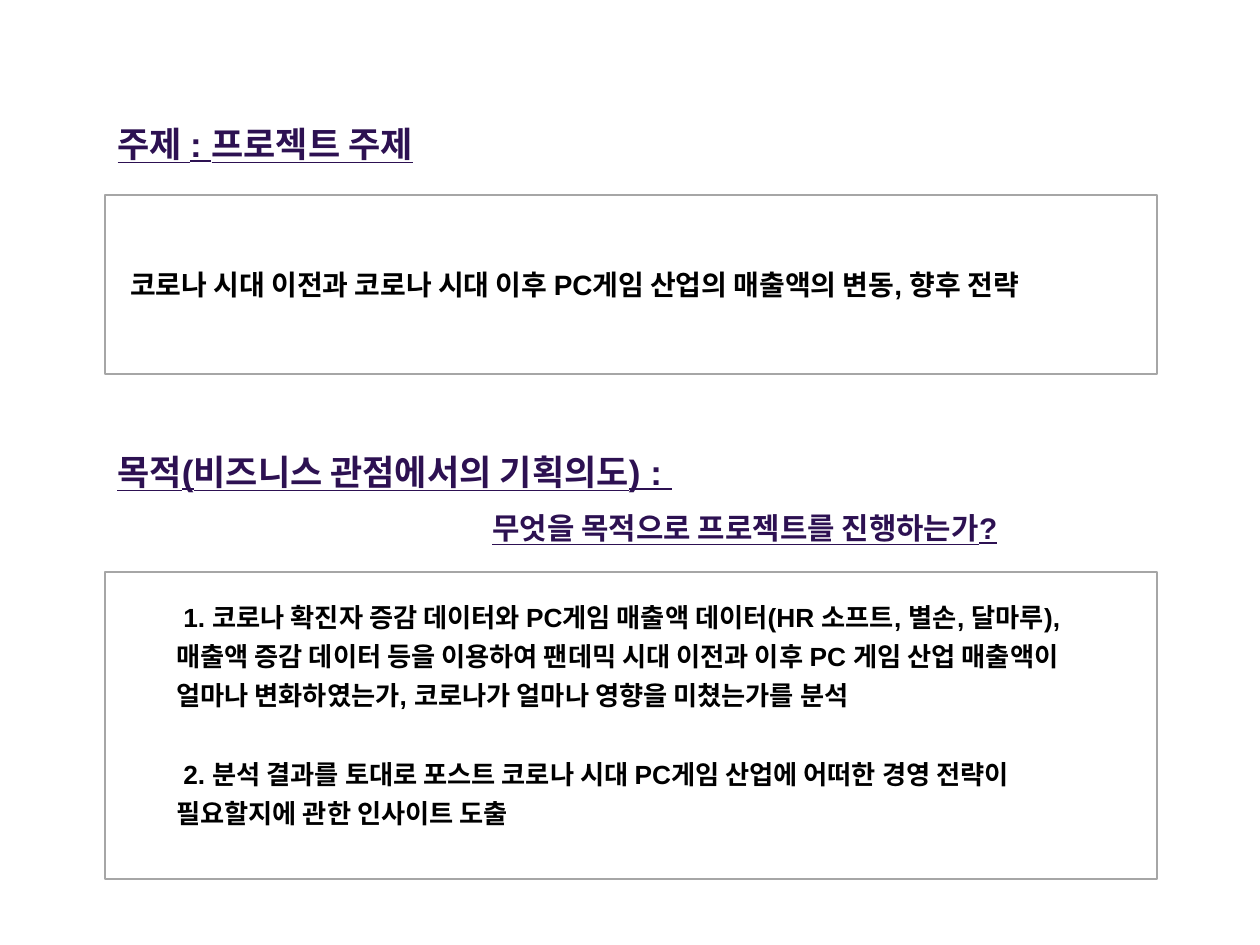
import dataclasses
import typing

import pptx
import pptx.dml.color
import pptx.enum.shapes
import pptx.enum.text
import pptx.util

SCALE = 914400 / 126


def pixels(length: int) -> pptx.util.Emu:
    return pptx.util.Emu(round(length * SCALE))


def color(code: str) -> pptx.dml.color.RGBColor:
    return pptx.dml.color.RGBColor.from_string(code)


@dataclasses.dataclass(frozen=True)
class Theme:
    font: str = "Arial"
    heading_color: str = "2D1152"
    body_color: str = "000000"
    frame_color: str = "A6A6A6"
    frame_width: float = 1.5
    heading_size: int = 20
    question_size: int = 17
    topic_size: int = 16
    purpose_size: int = 15


THEME = Theme()


class Area(typing.NamedTuple):
    left: int
    top: int
    width: int
    height: int

    def lengths(self) -> list[pptx.util.Emu]:
        return [pixels(length) for length in self]


@dataclasses.dataclass(frozen=True)
class Paragraph:
    text: str
    size: int
    heading: bool = False
    line_spacing: float = 1.0
    space_before: float = 0
    margin: int = 0
    indent: int = 0


@dataclasses.dataclass(frozen=True)
class TextBlock:
    area: Area
    paragraphs: list[Paragraph]


TITLE = TextBlock(
    Area(105, 116, 374, 55),
    [Paragraph("주제 : 프로젝트 주제", THEME.heading_size, heading=True)],
)

FRAMES = [Area(105, 195, 1052, 179), Area(105, 572, 1052, 307)]

BLOCKS = [
    TextBlock(
        Area(105, 423, 1052, 131),
        [
            Paragraph("목적(비즈니스 관점에서의 기획의도) : ", THEME.heading_size,
                      heading=True, line_spacing=1.5),
            Paragraph("무엇을 목적으로 프로젝트를 진행하는가?", THEME.question_size,
                      heading=True, line_spacing=1.5, margin=375),
        ],
    ),
    TextBlock(
        Area(118, 261, 1022, 46),
        [Paragraph("코로나 시대 이전과 코로나 시대 이후 PC게임 산업의 매출액의 변동, 향후 전략",
                   THEME.topic_size)],
    ),
    TextBlock(
        Area(164, 587, 932, 287),
        [
            Paragraph(
                "1. 코로나 확진자 증감 데이터와 PC게임 매출액 데이터(HR 소프트, 별손, 달마루), "
                "매출액 증감 데이터 등을 이용하여 팬데믹 시대 이전과 이후 PC 게임 산업 매출액이 "
                "얼마나 변화하였는가, 코로나가 얼마나 영향을 미쳤는가를 분석",
                THEME.purpose_size, line_spacing=1.25, indent=7),
            Paragraph(
                "2. 분석 결과를 토대로 포스트 코로나 시대 PC게임 산업에 어떠한 경영 전략이 "
                "필요할지에 관한 인사이트 도출",
                THEME.purpose_size, line_spacing=1.25, space_before=22.5, indent=7),
        ],
    ),
]


def write_block(box, block: TextBlock) -> None:
    box.left, box.top, box.width, box.height = block.area.lengths()
    frame = box.text_frame
    frame.word_wrap = True
    frame.auto_size = pptx.enum.text.MSO_AUTO_SIZE.SHAPE_TO_FIT_TEXT
    frame.vertical_anchor = pptx.enum.text.MSO_ANCHOR.TOP
    for index, item in enumerate(block.paragraphs):
        para = frame.add_paragraph() if index else frame.paragraphs[0]
        para.text = item.text
        para.alignment = pptx.enum.text.PP_ALIGN.LEFT
        para.line_spacing = item.line_spacing
        para.space_before = pptx.util.Pt(item.space_before)
        properties = para._p.get_or_add_pPr()
        properties.set("marL", str(pixels(item.margin)))
        properties.set("indent", str(pixels(item.indent)))
        font = para.font
        font.name = THEME.font
        font.size = pptx.util.Pt(item.size)
        font.bold = True
        font.underline = item.heading
        font.color.rgb = color(THEME.heading_color if item.heading else THEME.body_color)


def draw_frame(page, area: Area) -> None:
    shape = page.shapes.add_shape(
        pptx.enum.shapes.MSO_SHAPE.RECTANGLE, *area.lengths())
    shape.shadow.inherit = False
    shape.fill.background()
    shape.line.color.rgb = color(THEME.frame_color)
    shape.line.width = pptx.util.Pt(THEME.frame_width)


def build() -> None:
    deck = pptx.Presentation()
    deck.slide_width, deck.slide_height = pixels(1260), pixels(945)
    page = deck.slides.add_slide(deck.slide_layouts.get_by_name("Title Only"))
    write_block(page.shapes.title, TITLE)
    for area in FRAMES:
        draw_frame(page, area)
    for block in BLOCKS:
        write_block(page.shapes.add_textbox(*block.area.lengths()), block)
    deck.save("out.pptx")


build()
